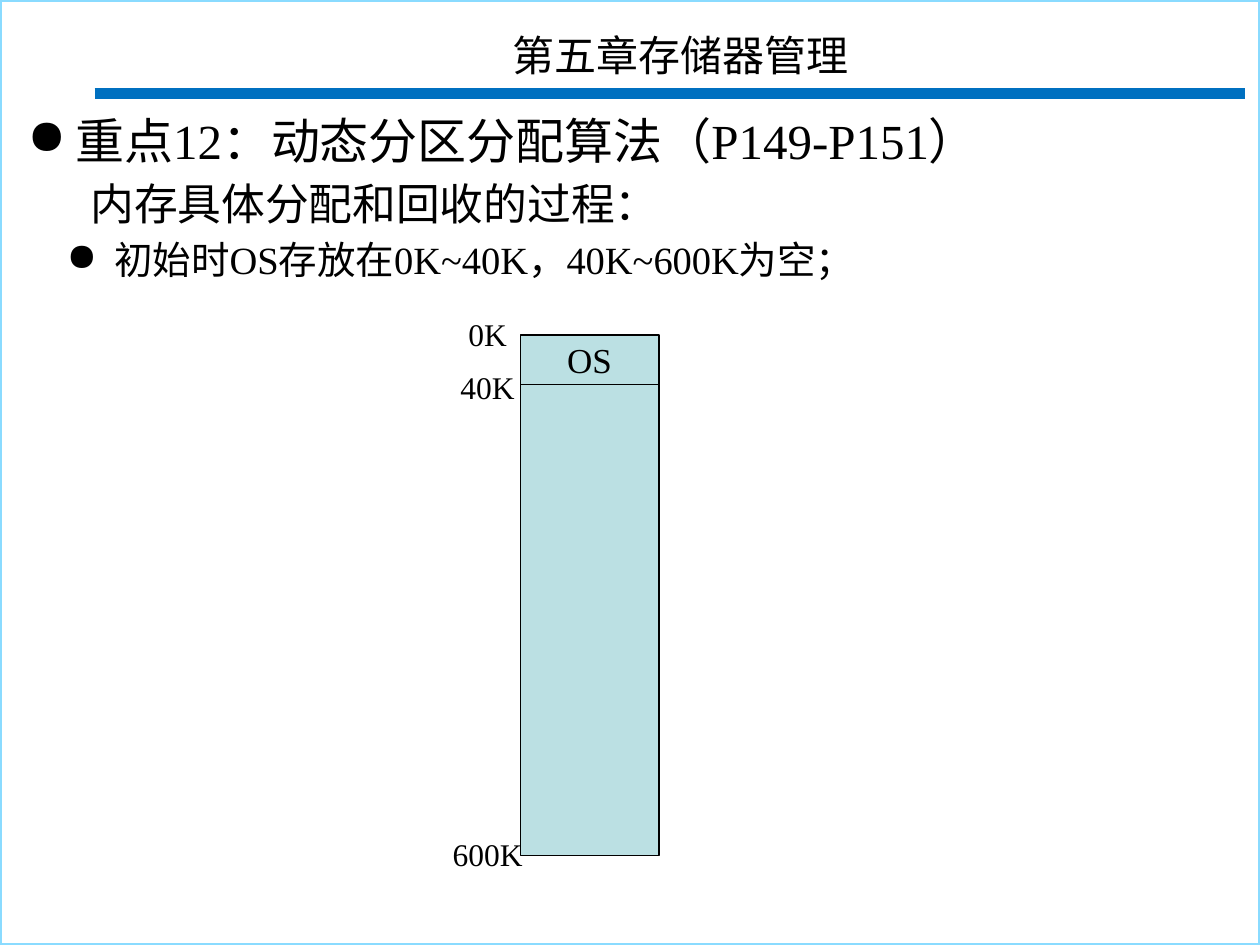
from dataclasses import dataclass
from typing import Optional

import lxml.etree
import pptx
import pptx.dml.color
import pptx.enum.shapes
import pptx.enum.text
import pptx.oxml.ns
import pptx.util

Inches, Pt = pptx.util.Inches, pptx.util.Pt
RGB = pptx.dml.color.RGBColor.from_string
ALIGN = pptx.enum.text.PP_ALIGN
ANCHOR = pptx.enum.text.MSO_ANCHOR
RECT = pptx.enum.shapes.MSO_SHAPE.RECTANGLE
qn = pptx.oxml.ns.qn

WIDTH, HEIGHT = 10, 7.5


@dataclass(frozen=True)
class Theme:
    font: str = "Times New Roman"
    ink: str = "000000"
    frame: str = "8ADBFF"
    rule: str = "0070C0"
    block: str = "BBE0E3"
    title: float = 24
    label: float = 18
    name: float = 20


@dataclass(frozen=True)
class Box:
    left: float
    top: float
    width: float
    height: float

    def place(self) -> list:
        return [Inches(v) for v in (self.left, self.top, self.width, self.height)]


@dataclass(frozen=True)
class Point:
    text: str
    size: float
    margin: float
    indent: float = 0
    bullet: str = ""
    align: Optional[ALIGN] = None
    space: float = 1


@dataclass(frozen=True)
class Block:
    start: float
    end: float
    text: str = ""


@dataclass(frozen=True)
class Mark:
    text: str
    middle: float


THEME = Theme()
COLUMN, SPAN = 4.13, 1.1
MIDDLE = 3.87

POINTS = [
    Point("重点12：动态分区分配算法（P149-P151）", 28, 0.38, -0.38, "●"),
    Point("内存具体分配和回收的过程：", 25, 0.5, align=ALIGN.JUSTIFY, space=1.14),
    Point("初始时OS存放在0K~40K，40K~600K为空；", 22, 0.69, -0.38, "●",
          ALIGN.JUSTIFY, 1.14),
]
BLOCKS = [Block(2.66, 3.05, "OS"), Block(3.05, 6.79)]
MARKS = [Mark("0K", 2.65), Mark("40K", 3.07), Mark("600K", 6.78)]


def style(para, size: float, align=None) -> None:
    para.alignment = align
    para.font.name = THEME.font
    para.font.size = Pt(size)
    para.font.color.rgb = RGB(THEME.ink)


def draw_frame(slide) -> None:
    frame = slide.shapes.add_shape(RECT, *Box(0, 0, WIDTH, HEIGHT).place())
    frame.shadow.inherit = False
    frame.fill.background()
    frame.line.color.rgb = RGB(THEME.frame)
    frame.line.width = Pt(2.25)


def draw_rule(slide, left: float, right: float, top: float) -> None:
    rule = slide.shapes.add_connector(
        pptx.enum.shapes.MSO_CONNECTOR.STRAIGHT,
        Inches(left), Inches(top), Inches(right), Inches(top))
    rule.line.color.rgb = RGB(THEME.rule)
    rule.line.width = Pt(6.25)
    lxml.etree.SubElement(rule.element.spPr, qn("a:effectLst"))


def set_title(slide, text: str, box: Box) -> None:
    title = slide.shapes.title
    title.left, title.top, title.width, title.height = box.place()
    frame = title.text_frame
    frame.text = text
    frame.auto_size = pptx.enum.text.MSO_AUTO_SIZE.NONE
    frame.vertical_anchor = ANCHOR.MIDDLE
    para = frame.paragraphs[0]
    para.line_spacing = 1.3
    style(para, THEME.title, ALIGN.CENTER)


def add_point(para, point: Point) -> None:
    para.text = point.text
    para.line_spacing = point.space
    props = para._p.get_or_add_pPr()
    props.set("marL", str(Inches(point.margin)))
    props.set("indent", str(Inches(point.indent)))
    if point.bullet:
        lxml.etree.SubElement(props, qn("a:buChar")).set("char", point.bullet)
    style(para, point.size, point.align)


def draw_points(slide, points: list[Point], box: Box) -> None:
    frame = slide.shapes.add_textbox(*box.place()).text_frame
    frame.word_wrap = True
    for i, point in enumerate(points):
        add_point(frame.add_paragraph() if i else frame.paragraphs[0], point)


def draw_block(slide, block: Block) -> None:
    box = Box(COLUMN, block.start, SPAN, block.end - block.start)
    shape = slide.shapes.add_shape(RECT, *box.place())
    shape.shadow.inherit = False
    shape.fill.solid()
    shape.fill.fore_color.rgb = RGB(THEME.block)
    shape.line.color.rgb = RGB(THEME.ink)
    shape.line.width = Pt(0.75)
    if block.text:
        frame = shape.text_frame
        frame.text = block.text
        frame.vertical_anchor = ANCHOR.MIDDLE
        style(frame.paragraphs[0], THEME.name, ALIGN.CENTER)


def draw_mark(slide, mark: Mark) -> None:
    wide, high = 0.76, 0.4
    box = Box(MIDDLE - wide / 2, mark.middle - high / 2, wide, high)
    frame = slide.shapes.add_textbox(*box.place()).text_frame
    frame.text = mark.text
    frame.word_wrap = False
    style(frame.paragraphs[0], THEME.label, ALIGN.CENTER)


def main() -> None:
    deck = pptx.Presentation()
    deck.slide_width, deck.slide_height = Inches(WIDTH), Inches(HEIGHT)
    slide = deck.slides.add_slide(deck.slide_layouts.get_by_name("Title Only"))
    draw_frame(slide)
    draw_rule(slide, 0.75, 9.88, 0.74)
    set_title(slide, "第五章存储器管理", Box(0.91, 0.06, 8.98, 0.63))
    draw_points(slide, POINTS, Box(0.12, 0.83, 9.76, 6.23))
    for block in BLOCKS:
        draw_block(slide, block)
    for mark in MARKS:
        draw_mark(slide, mark)
    deck.save("out.pptx")


if __name__ == "__main__":
    main()
